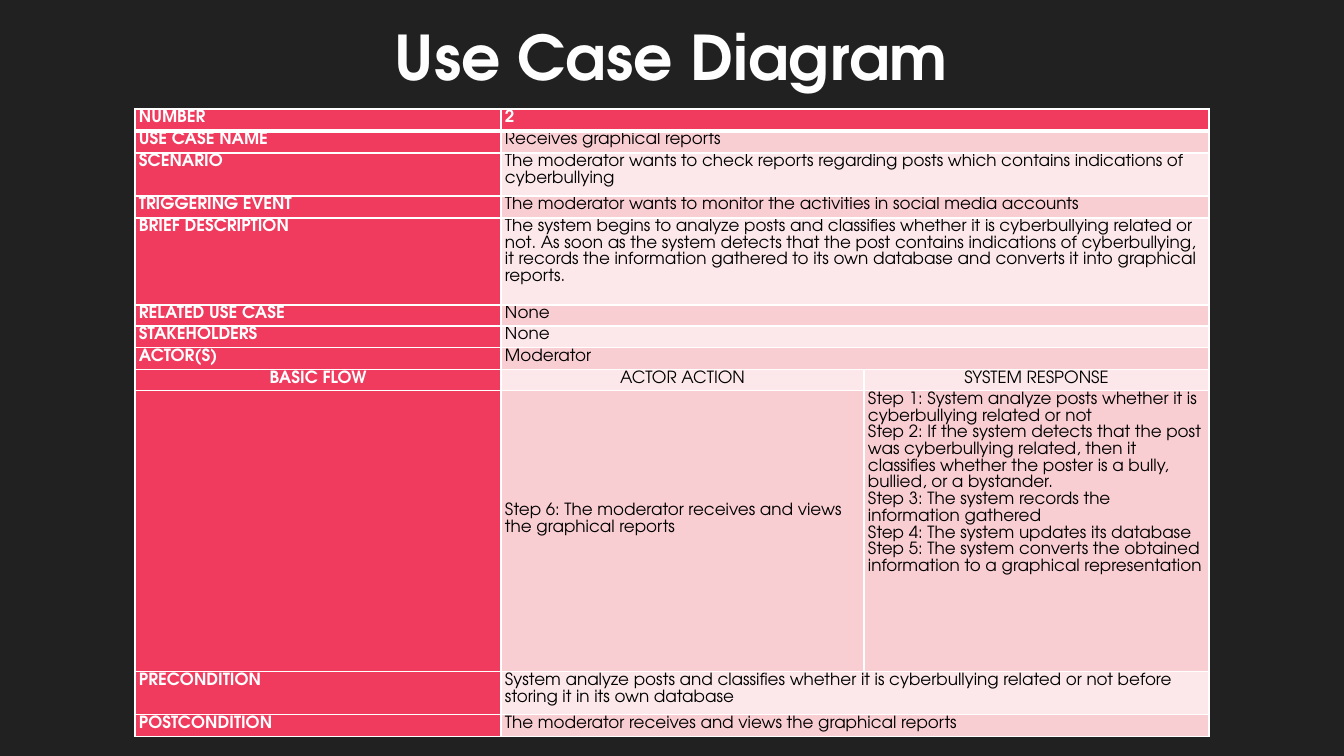
"""Build the use case table slide."""
from lxml.etree import SubElement
from pptx import Presentation
from pptx.dml.color import RGBColor as RGB
from pptx.enum.text import MSO_ANCHOR as Anchor, PP_ALIGN as Align
from pptx.oxml.ns import qn
from pptx.util import Pt

PX = 914400 // 100.8
FONT = "TeX Gyre Adventor"
DARK = RGB(0x21, 0x21, 0x21)
RED = RGB(0xF0, 0x3B, 0x5E)
ROSE = RGB(0xF9, 0xCE, 0xD2)
PALE = RGB(0xFC, 0xE8, 0xEA)
WHITE = RGB(0xFF, 0xFF, 0xFF)
CLOUD = RGB(0xFE, 0xFE, 0xFE)
BLACK = RGB(0, 0, 0)

COLS = [366, 363, 345]
STEPS = "\n".join([
    "Step 1: System analyze posts whether it is cyberbullying related or not",
    "Step 2: If the system detects that the post was cyberbullying related, then it "
    "classifies whether the poster is a bully, bullied, or a bystander.",
    "Step 3: The system records the information gathered",
    "Step 4: The system updates its database",
    "Step 5: The system converts the obtained information to a graphical representation",
])
ROWS = [
    (22, "NUMBER", "2"),
    (22, "USE CASE NAME", "Receives graphical reports"),
    (43, "SCENARIO", "The moderator wants to check reports regarding posts which "
     "contains indications of cyberbullying"),
    (22, "TRIGGERING EVENT",
     "The moderator wants to monitor the activities in social media accounts"),
    (87, "BRIEF DESCRIPTION", "The system begins to analyze posts and classifies whether "
     "it is cyberbullying related or not. As soon as the system detects that the post "
     "contains indications of cyberbullying, it records the information gathered to its "
     "own database and converts it into graphical reports."),
    (21, "RELATED USE CASE", "None"),
    (22, "STAKEHOLDERS", "None"),
    (22, "ACTOR(S)", "Moderator"),
    (21, "BASIC FLOW", "ACTOR ACTION", "SYSTEM RESPONSE"),
    (281, "", "Step 6: The moderator receives and views the graphical reports", STEPS),
    (43, "PRECONDITION", "System analyze posts and classifies whether it is cyberbullying "
     "related or not before storing it in its own database"),
    (22, "POSTCONDITION", "The moderator receives and views the graphical reports"),
]
FLOW = 8


def px(n):
    return int(n * PX)


def style(para, size, color, bold):
    for run in para.runs:
        run.font.name = FONT
        run.font.size = Pt(size)
        run.font.bold = bold
        run.font.color.rgb = color


prs = Presentation()
prs.slide_width, prs.slide_height = px(1344), px(756)
slide = prs.slides.add_slide(prs.slide_layouts[5])
slide.background.fill.solid()
slide.background.fill.fore_color.rgb = DARK

title = slide.shapes.title
title.left, title.top, title.width, title.height = px(382), px(13), px(579), px(85)
frame = title.text_frame
frame.text = "Use Case Diagram"
frame.word_wrap = False
frame.vertical_anchor = Anchor.MIDDLE
frame.paragraphs[0].alignment = Align.CENTER
style(frame.paragraphs[0], 44, CLOUD, True)

tall = sum(row[0] for row in ROWS)
table = slide.shapes.add_table(len(ROWS), len(COLS), px(135), px(109),
                               px(sum(COLS)), px(tall)).table
for col, width in zip(table.columns, COLS):
    col.width = px(width)

for r, (height, *texts) in enumerate(ROWS):
    table.rows[r].height = px(height)
    if len(texts) == 2:
        table.cell(r, 1).merge(table.cell(r, 2))
    for c in range(len(COLS)):
        cell = table.cell(r, c)
        cell.margin_left = cell.margin_right = px(4)
        cell.margin_top = cell.margin_bottom = 0
        props = cell._tc.get_or_add_tcPr()
        for side in ("L", "R", "T", "B"):
            thick = (r, side) in ((0, "B"), (1, "T"))
            line = SubElement(props, qn(f"a:ln{side}"), w=str(Pt(3 if thick else 1)))
            fill = SubElement(line, qn("a:solidFill"))
            SubElement(fill, qn("a:srgbClr"), val=str(WHITE))
        head = r == 0 or c == 0
        cell.fill.solid()
        cell.fill.fore_color.rgb = RED if head else ROSE if r % 2 else PALE
        if c < len(texts):
            cell.text_frame.text = texts[c]
            for para in cell.text_frame.paragraphs:
                para.line_spacing = 1.07
                para.alignment = Align.CENTER if r == FLOW else Align.LEFT
                style(para, 12, WHITE if head else BLACK, head)

table.cell(FLOW + 1, 1).margin_top = px(111)

prs.save("out.pptx")
